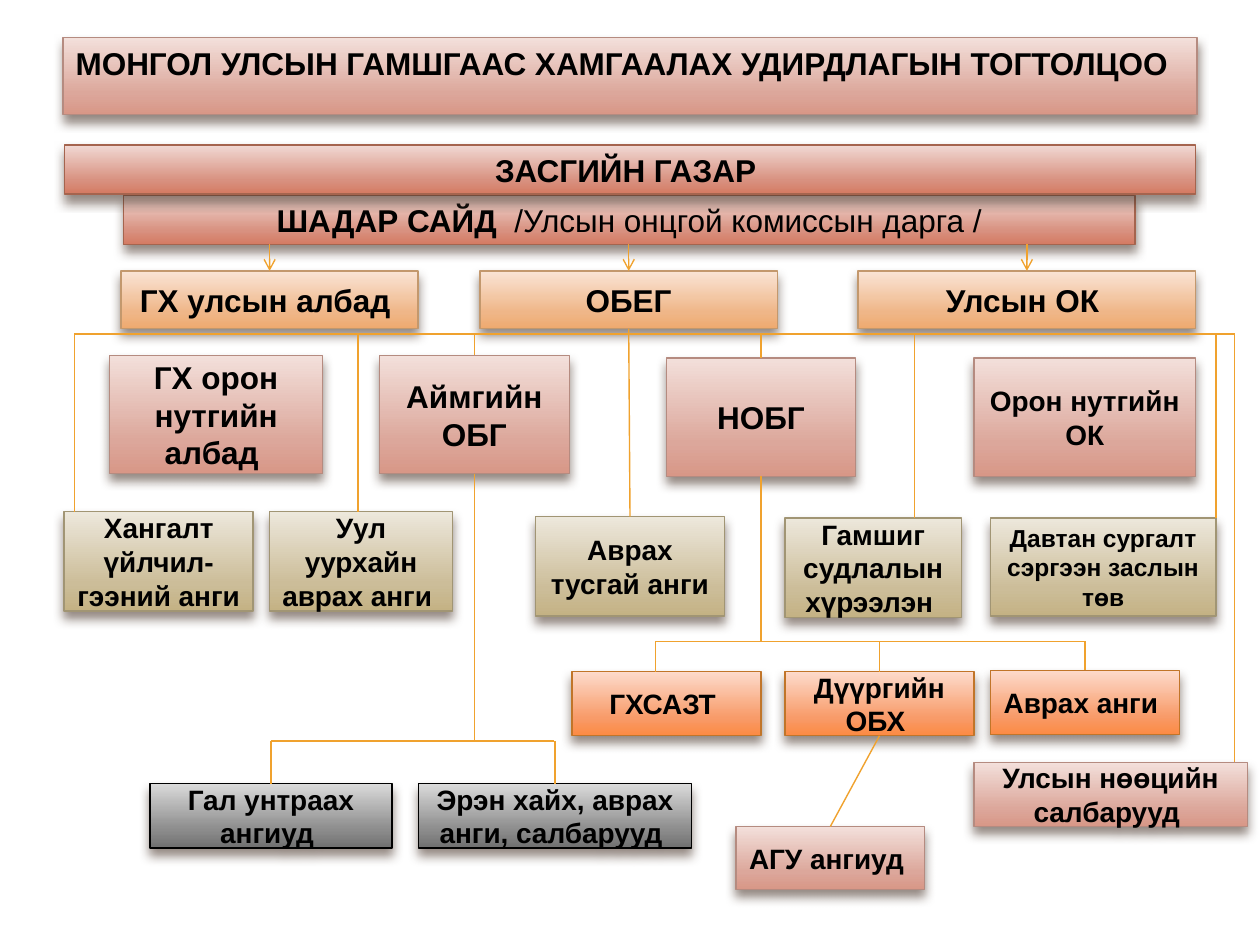
from copy import deepcopy

from lxml.etree import SubElement
from pptx import Presentation
from pptx.dml.color import RGBColor
from pptx.enum.shapes import MSO_CONNECTOR, MSO_SHAPE
from pptx.enum.text import MSO_ANCHOR, MSO_AUTO_SIZE, PP_ALIGN
from pptx.oxml.ns import qn
from pptx.util import Inches, Pt

THEME = {
    "font": "Arial", "text": "000000", "connector": "F0A22E", "shadow": "4E3B30",
    "line_width": 0.79, "large": 18, "medium": 16, "small": 14,
    # gradient from top to bottom, then outline
    "rose": ("F3E0DB", "DCA79B", "D89787", "B58B80"),
    "brick": ("F1D9D4", "D89180", "D47A62", "A5644E"),
    "peach": ("FAE4D5", "EFB688", "EFAA6F", "C3986D"),
    "sand": ("EDE8DC", "CCBD99", "C4B284", "A19574"),
    "orange": ("FDDBCC", "F89B69", "FC8A43", "C17529"),
    "grey": ("DADADA", "8C8C8C", "707070", "000000"),
}
STOPS = (0, 0.72, 1)

TITLE = "МОНГОЛ УЛСЫН ГАМШГААС ХАМГААЛАХ УДИРДЛАГЫН ТОГТОЛЦОО"
TITLE_BOX = (0.5, 0.3, 9, 0.61)

# (colours, type size, height, [(name, left, top, width, paragraphs)])
# A paragraph is a string, or a (bold, regular) pair of strings.
LEVELS = [
    ("peach", "large", 0.46, [
        ("agency", 3.81, 2.15, 2.36, ["ОБЕГ"]),
        ("commission", 6.81, 2.15, 2.68, ["Улсын ОК "]),
        ("services", 0.96, 2.15, 2.36, ["ГХ улсын албад "])]),
    ("brick", "large", 0.39, [
        ("deputy", 0.98, 1.55, 8.03, [("ШАДАР САЙД  ", "/Улсын онцгой комиссын дарга /")]),
        ("government", 0.51, 1.15, 8.98, ["ЗАСГИЙН ГАЗАР "])]),
    ("rose", "medium", 0.94, [("local commission", 7.73, 2.84, 1.76, ["Орон нутгийн ОК"])]),
    ("rose", "large", 0.94, [
        ("capital", 5.29, 2.84, 1.5, ["НОБГ"]),
        ("province", 3.01, 2.82, 1.51, ["Аймгийн ОБГ"]),
        ("local services", 0.87, 2.82, 1.69, ["ГХ орон нутгийн албад "])]),
    ("sand", "small", 0.78, [
        ("training", 7.86, 4.11, 1.79, ["Давтан сургалт сэргээн заслын төв"])]),
    ("sand", "medium", 0.79, [
        ("institute", 6.23, 4.11, 1.4, ["Гамшиг судлалын хүрээлэн "]),
        ("special rescue", 4.25, 4.1, 1.5, ["Аврах тусгай анги "]),
        ("mine rescue", 2.14, 4.06, 1.45, ["Уул уурхайн аврах анги "]),
        ("supply", 0.51, 4.06, 1.5, ["Хангалт үйлчил-", "гээний анги "])]),
    ("orange", "medium", 0.51, [
        ("capital unit", 4.54, 5.33, 1.5, ["ГХСАЗТ "]),
        ("district", 6.23, 5.33, 1.5, ["Дүүргийн ОБХ "]),
        ("rescue", 7.86, 5.32, 1.5, ["Аврах анги "])]),
    ("rose", "medium", 0.5, [("groups", 5.84, 6.56, 1.5, ["АГУ ангиуд "])]),
    ("rose", "medium", 0.51, [("reserve", 7.73, 6.05, 2.17, ["Улсын нөөцийн салбарууд "])]),
    ("grey", "medium", 0.51, [
        ("search", 3.32, 6.22, 2.17, ["Эрэн хайх, аврах анги, салбарууд "]),
        ("fire", 1.19, 6.22, 1.92, ["Гал унтраах ангиуд "])]),
]
BOXES = {name: (left, top, width, height)
         for _, _, height, boxes in LEVELS for name, left, top, width, _ in boxes}

# Each rail is a horizontal line; its drops are (box reached, x or None for its centre).
RAILS = [
    (2.65, 0.59, 9.8, [("supply", 0.59), ("mine rescue", 2.84), ("province", None),
                       ("capital", None), ("institute", 7.26), ("training", 9.65),
                       ("reserve", 9.8)]),
    (5.09, 5.2, 8.61, [("capital unit", 5.2), ("district", None), ("rescue", None)]),
    (5.88, 2.15, 4.4, [("fire", None), ("search", None)]),
]
STEMS = [("province", 5.88), ("capital", 5.09)]
LINKS = [("agency", "special rescue"), ("district", "groups")]
MINISTER_ARROWS = ["commission", "agency", "services"]


def top_centre(name):
    left, top, width, _ = BOXES[name]
    return left + width / 2, top


def bottom_centre(name):
    x, top = top_centre(name)
    return x, top + BOXES[name][3]


def write_text(shape, paragraphs, size, align=PP_ALIGN.CENTER, anchor=MSO_ANCHOR.MIDDLE):
    frame = shape.text_frame
    frame.word_wrap = True
    frame.auto_size = MSO_AUTO_SIZE.NONE
    frame.vertical_anchor = anchor
    for index, content in enumerate(paragraphs):
        paragraph = frame.add_paragraph() if index else frame.paragraphs[0]
        paragraph.alignment = align
        parts = (content,) if isinstance(content, str) else content
        for part, bold in zip(parts, (True, False)):
            run = paragraph.add_run()
            run.text = part
            run.font.name = THEME["font"]
            run.font.size = Pt(THEME[size])
            run.font.bold = bold
            run.font.color.rgb = RGBColor.from_string(THEME["text"])


def style_box(shape, colours):
    """Apply the three-stop gradient, outline and soft shadow."""
    *gradient, outline = THEME[colours]
    shape.fill.gradient()
    shape.fill.gradient_angle = 270
    properties = shape.element.spPr
    stop_list = properties.find(qn("a:gradFill")).find(qn("a:gsLst"))
    stop_list.append(deepcopy(stop_list[-1]))
    for stop, position, colour in zip(shape.fill.gradient_stops, STOPS, gradient):
        stop.position = position
        stop.color.rgb = RGBColor.from_string(colour)
    shape.line.color.rgb = RGBColor.from_string(outline)
    shape.line.width = Pt(THEME["line_width"])
    shape.shadow.inherit = False
    shadow = SubElement(properties.find(qn("a:effectLst")), qn("a:outerShdw"),
                        blurRad=str(Pt(6)), dist=str(Pt(4)), dir="5400000", rotWithShape="0")
    colour = SubElement(shadow, qn("a:srgbClr"), val=THEME["shadow"])
    SubElement(colour, qn("a:alpha"), val="60000")


def add_line(slide, start, end, arrow=False):
    connector = slide.shapes.add_connector(
        MSO_CONNECTOR.STRAIGHT, *map(Inches, (*start, *end)))
    connector.line.color.rgb = RGBColor.from_string(THEME["connector"])
    connector.line.width = Pt(THEME["line_width"])
    properties = connector.element.spPr
    if arrow:
        SubElement(properties.find(qn("a:ln")), qn("a:tailEnd"), type="arrow")
    SubElement(properties, qn("a:effectLst"))


def add_connectors(slide):
    for y, left, right, drops in RAILS:
        add_line(slide, (left, y), (right, y))
        for name, x in drops:
            centre, top = top_centre(name)
            x = centre if x is None else x
            add_line(slide, (x, y), (x, top))
    for name, rail_y in STEMS:
        x, bottom = bottom_centre(name)
        add_line(slide, (x, bottom), (x, rail_y))
    for upper, lower in LINKS:
        add_line(slide, bottom_centre(upper), top_centre(lower))
    for name in MINISTER_ARROWS:
        x, top = top_centre(name)
        add_line(slide, (x, bottom_centre("deputy")[1]), (x, top), arrow=True)


def main():
    presentation = Presentation()
    presentation.slide_width, presentation.slide_height = Inches(10), Inches(7.5)
    slide = presentation.slides.add_slide(presentation.slide_layouts[5])
    title = slide.shapes.title
    title.left, title.top, title.width, title.height = map(Inches, TITLE_BOX)
    style_box(title, "rose")
    write_text(title, [TITLE], "large", align=PP_ALIGN.LEFT, anchor=MSO_ANCHOR.TOP)
    for colours, size, _, boxes in LEVELS:
        for name, *_, paragraphs in boxes:
            shape = slide.shapes.add_shape(MSO_SHAPE.RECTANGLE, *map(Inches, BOXES[name]))
            style_box(shape, colours)
            write_text(shape, paragraphs, size)
    add_connectors(slide)
    presentation.save("out.pptx")


if __name__ == "__main__":
    main()
